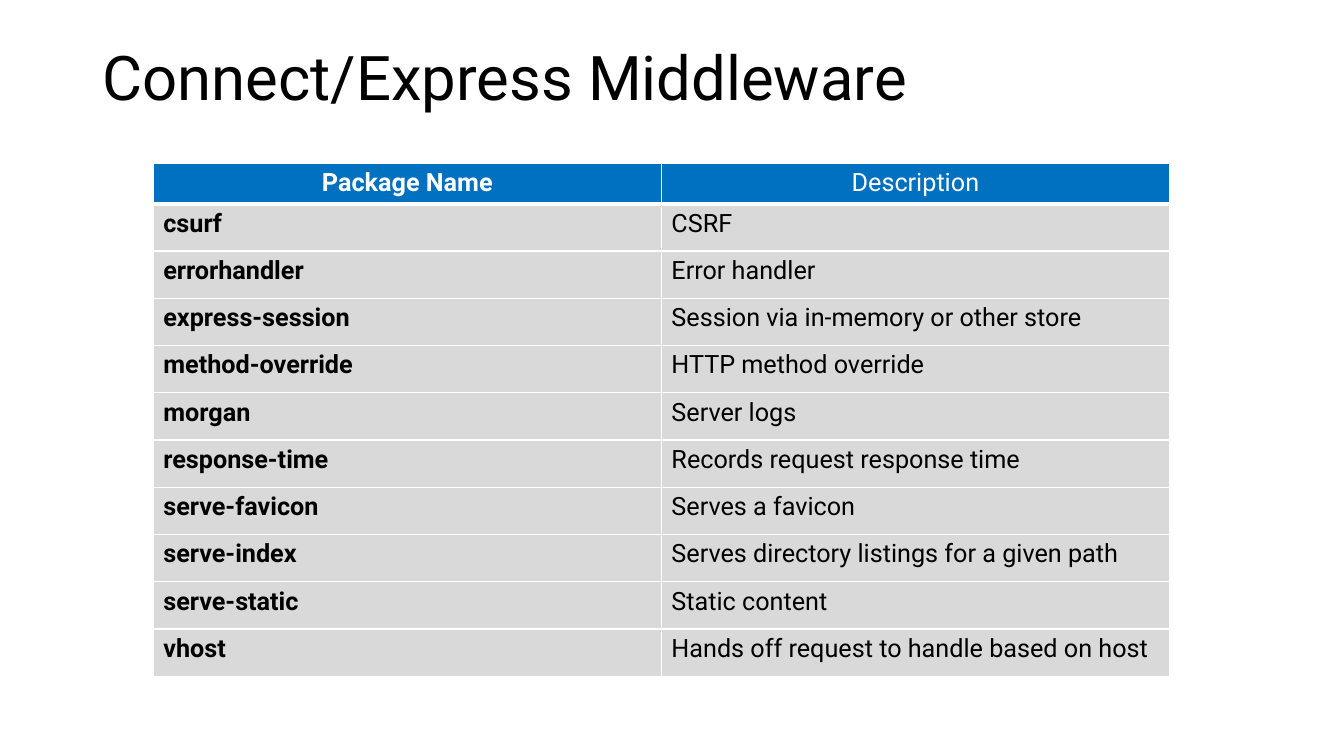
import pptx
import pptx.util
import pptx.dml.color
import pptx.enum.text
import lxml.etree
import pptx.oxml.ns
from dataclasses import dataclass

TITLE = "Connect/Express Middleware"
HEADS = ("Package Name", "Description")
PACKAGES = [
    ("csurf", "CSRF"),
    ("errorhandler", "Error handler"),
    ("express-session", "Session via in-memory or other store"),
    ("method-override", "HTTP method override"),
    ("morgan", "Server logs"),
    ("response-time", "Records request response time"),
    ("serve-favicon", "Serves a favicon"),
    ("serve-index", "Serves directory listings for a given path"),
    ("serve-static", "Static content"),
    ("vhost", "Hands off request to handle based on host"),
]


@dataclass
class Theme:
    font: str = "Roboto"
    title: int = 44
    body: int = 18
    black: str = "000000"
    white: str = "FFFFFF"
    blue: str = "0070C0"
    gray: str = "D9D9D9"


theme = Theme()
inch = pptx.util.Inches
qn = pptx.oxml.ns.qn


def rgb(code):
    return pptx.dml.color.RGBColor.from_string(code)


def style(para, size, color, bold=False):
    font = para.font
    font.name = theme.font
    font.size = pptx.util.Pt(size)
    font.bold = bold
    font.color.rgb = rgb(color)


def add_edge(cell, side, width):
    """Draw one white cell border; side is L, R, T or B, width in points."""
    props = cell._tc.get_or_add_tcPr()
    line = lxml.etree.SubElement(props, qn("a:ln" + side), w=str(pptx.util.Pt(width)))
    fill = lxml.etree.SubElement(line, qn("a:solidFill"))
    lxml.etree.SubElement(fill, qn("a:srgbClr"), val=theme.white)


def add_title(slide):
    box = slide.shapes.add_textbox(inch(0.92), inch(0.4), inch(11.5), inch(0.79))
    frame = box.text_frame
    frame.word_wrap = True
    frame.vertical_anchor = pptx.enum.text.MSO_ANCHOR.MIDDLE
    para = frame.paragraphs[0]
    para.text = TITLE
    para.line_spacing = 0.9
    style(para, theme.title, theme.black)


def fill_cell(cell, text, head, first, below):
    """Write a cell; below marks the row just under the header."""
    for side in "LRTB":
        thick = (head and side == "B") or (below and side == "T")
        add_edge(cell, side, 3 if thick else 1)
    cell.fill.solid()
    cell.fill.fore_color.rgb = rgb(theme.blue if head else theme.gray)
    para = cell.text_frame.paragraphs[0]
    para.text = text
    if head:
        para.alignment = pptx.enum.text.PP_ALIGN.CENTER
    style(para, theme.body, theme.white if head else theme.black, first)


def add_grid(slide):
    rows = [HEADS] + PACKAGES
    width, height, top = 10.08, 5.05, 0.36
    table = slide.shapes.add_table(
        len(rows), len(HEADS), inch(1.52), inch(1.62), inch(width), inch(height)
    ).table
    table.horz_banding = False
    for col in table.columns:
        col.width = inch(width / len(HEADS))
    for r, row in enumerate(rows):
        table.rows[r].height = inch((height - top) / len(PACKAGES) if r else top)
        for c, text in enumerate(row):
            fill_cell(table.cell(r, c), text, r == 0, c == 0, r == 1)


def main():
    deck = pptx.Presentation()
    deck.slide_width, deck.slide_height = inch(13.33), inch(7.5)
    slide = deck.slides.add_slide(deck.slide_layouts[6])
    add_title(slide)
    add_grid(slide)
    deck.save("out.pptx")


if __name__ == "__main__":
    main()
